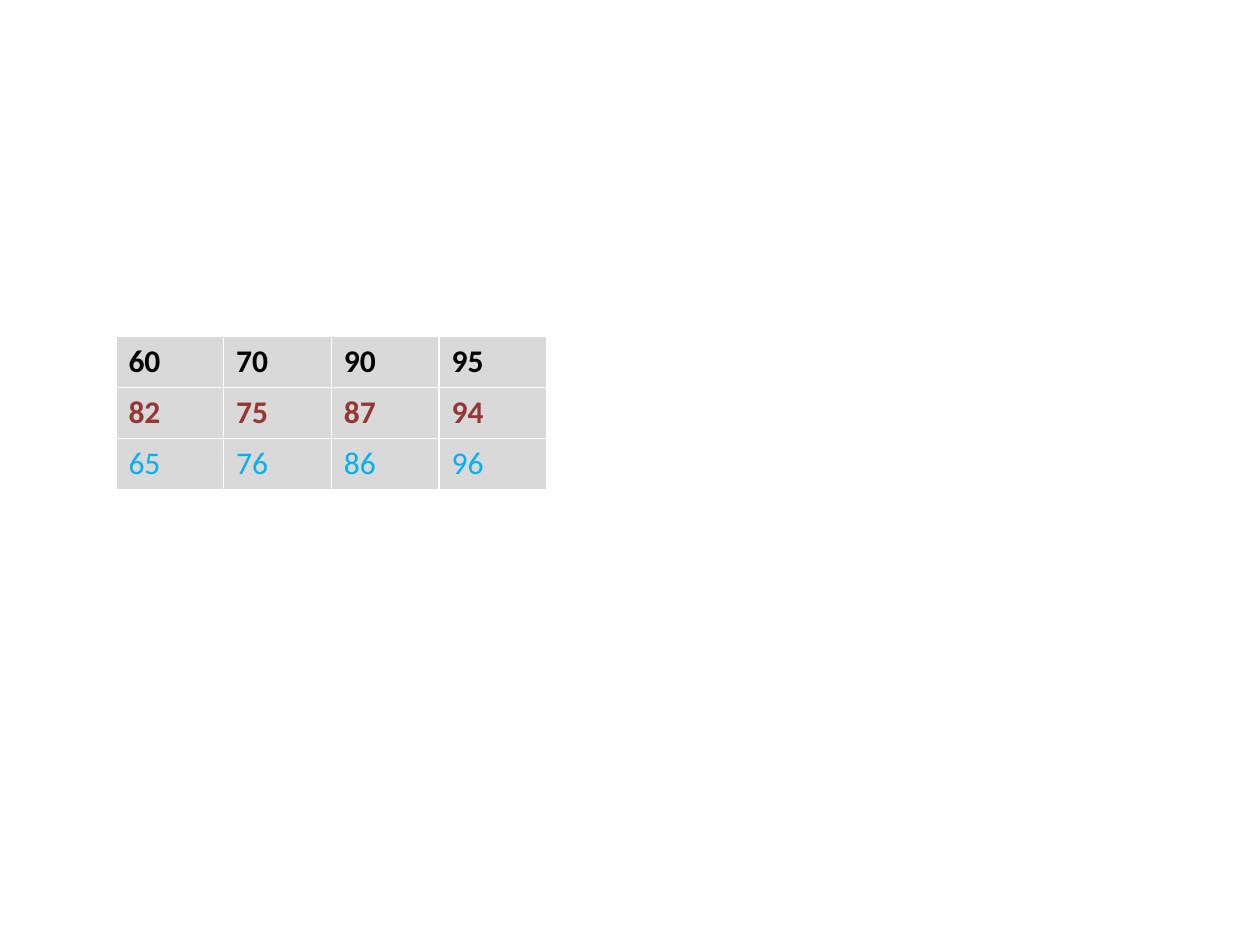
"""Build a slide with a small table of scores."""
from pptx import Presentation
from pptx.dml.color import RGBColor
from pptx.util import Inches, Pt

ROWS = [
    (("60", "70", "90", "95"), "000000", True),
    (("82", "75", "87", "94"), "953735", True),
    (("65", "76", "86", "96"), "00B0F0", False),
]


def paint(fill, color):
    fill.solid()
    fill.fore_color.rgb = RGBColor.from_string(color)


deck = Presentation()
deck.slide_width = Inches(10)
deck.slide_height = Inches(7.5)
slide = deck.slides.add_slide(deck.slide_layouts[6])

frame = slide.shapes.add_table(
    3, 4, Inches(0.92), Inches(2.67), Inches(3.42), Inches(1.21)
)
table = frame.table
for r, (scores, color, bold) in enumerate(ROWS):
    for c, score in enumerate(scores):
        cell = table.cell(r, c)
        paint(cell.fill, "D9D9D9")
        run = cell.text_frame.paragraphs[0].add_run()
        run.text = score
        run.font.name = "Calibri"
        run.font.size = Pt(18)
        run.font.bold = bold
        paint(run.font.fill, color)

deck.save("out.pptx")
